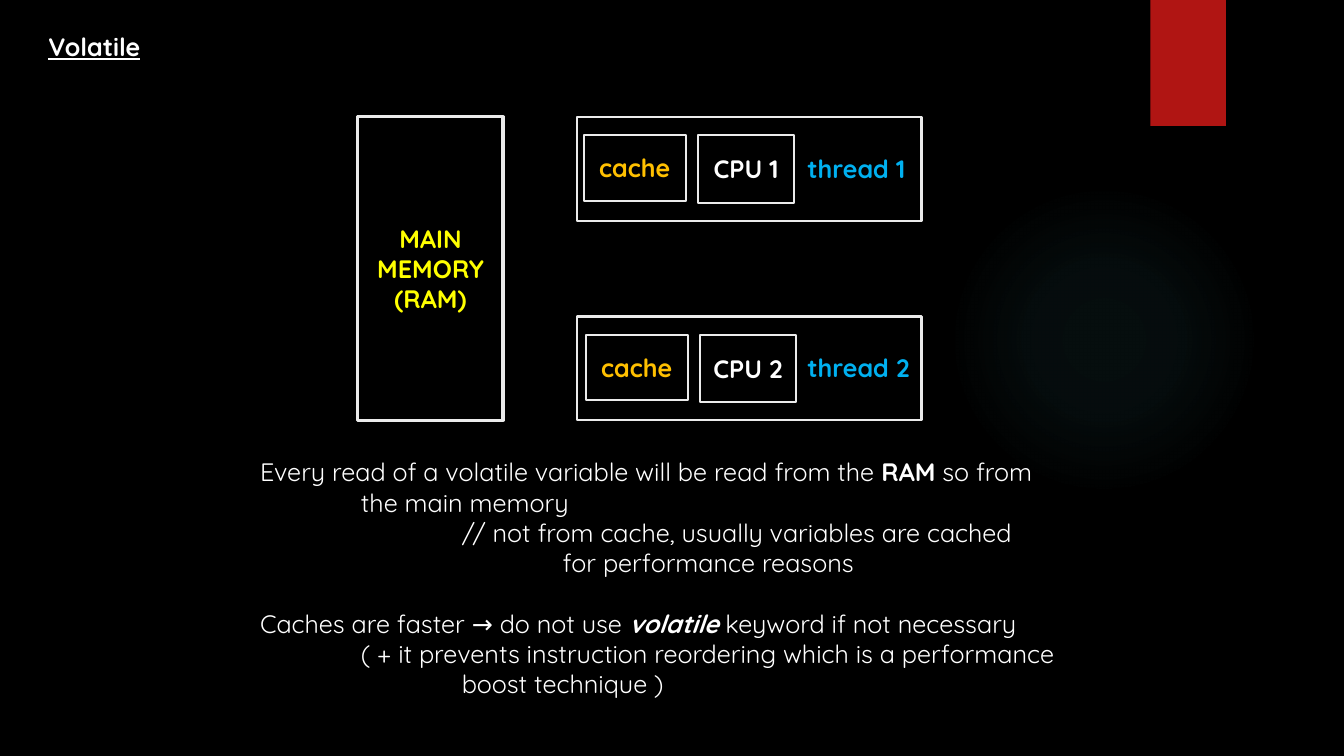
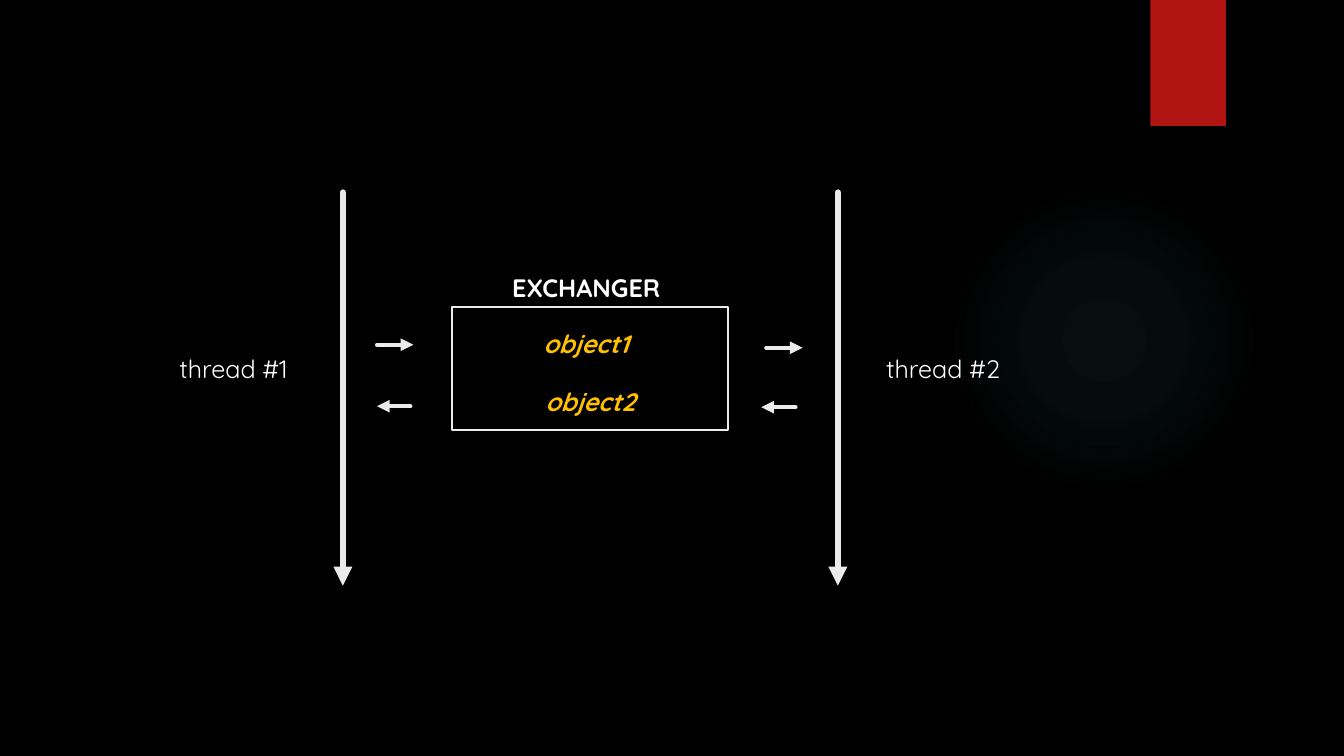
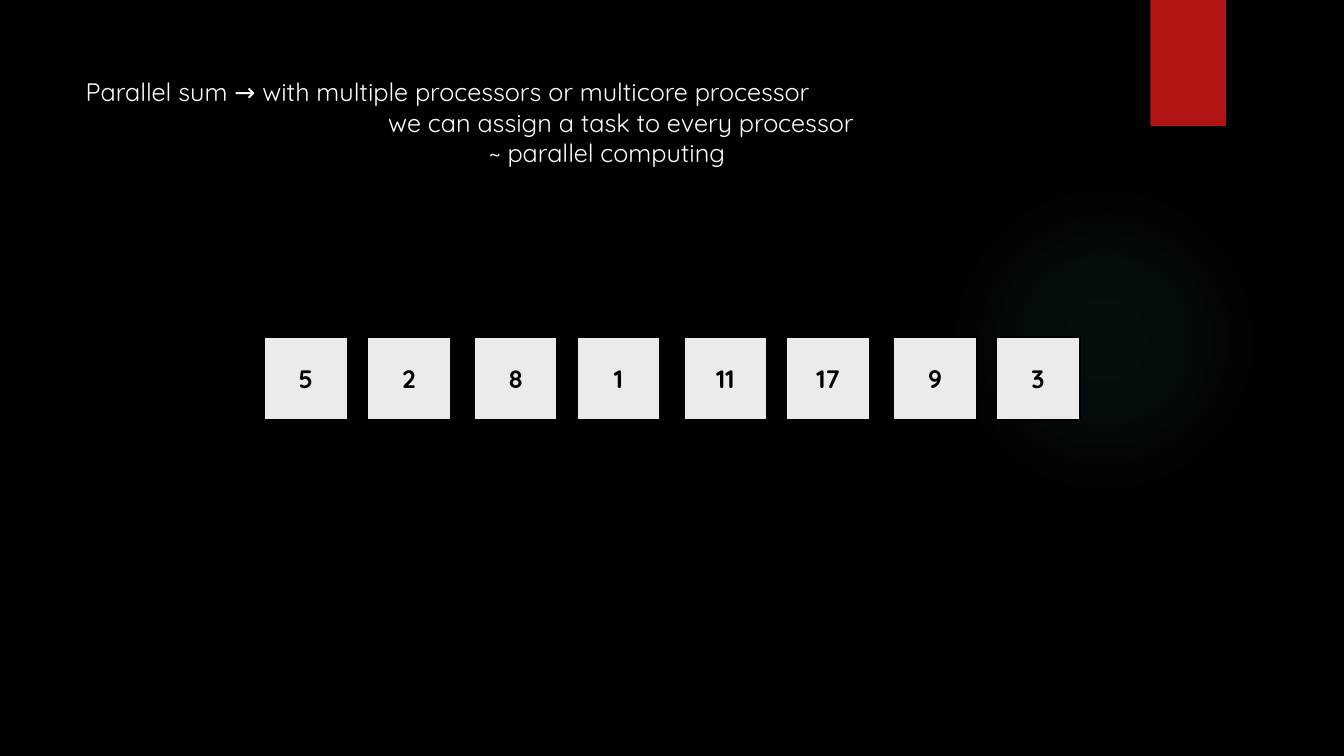
from dataclasses import dataclass

from lxml import etree
from pptx import Presentation
from pptx import util as u
from pptx.dml.color import RGBColor
from pptx.enum import shapes, text
from pptx.oxml import parse_xml
from pptx.oxml.ns import nsdecls, qn

FONT = "Quicksand"
SIZE = 18
LINE_PITCH = 21.6
BLACK = RGBColor(0x00, 0x00, 0x00)
WHITE = RGBColor(0xFF, 0xFF, 0xFF)
LIGHT = RGBColor(0xEB, 0xEB, 0xEB)
RED = RGBColor(0xB0, 0x15, 0x13)
GLOW = RGBColor(0x50, 0xB9, 0xC1)
YELLOW = RGBColor(0xFF, 0xFF, 0x00)
AMBER = RGBColor(0xFF, 0xC0, 0x00)
BLUE = RGBColor(0x00, 0xB0, 0xF0)


@dataclass
class Run:
    words: str
    bold: bool = False
    italic: bool = False


@dataclass
class Line:
    runs: list[Run]
    indent: int = 0
    gap: float = 0


@dataclass
class Cpu:
    number: int
    top: float
    shift: float


@dataclass
class Arrow:
    x1: float
    y1: float
    x2: float
    y2: float
    width: float = 3


def write(p, words, *, color=WHITE, bold=False, italic=False, underline=False):
    """Add one formatted run to a paragraph."""
    r = p.add_run()
    r.text = words
    f = r.font
    f.name, f.size = FONT, u.Pt(SIZE)
    f.bold, f.italic, f.underline = bold, italic, underline
    f.color.rgb = color


def place(sp, left: float, top: float, width: float, height: float):
    sp.left, sp.top = u.Inches(left), u.Inches(top)
    sp.width, sp.height = u.Inches(width), u.Inches(height)


def add_box(s, at, *, lines=(), fill=None, line=LIGHT, weight=1.5,
            kind=shapes.MSO_SHAPE.RECTANGLE, **fmt):
    sp = s.shapes.add_shape(kind, *(u.Inches(v) for v in at))
    sp.shadow.inherit = False
    if fill is None:
        sp.fill.background()
    else:
        sp.fill.solid()
        sp.fill.fore_color.rgb = fill
    if line is None:
        sp.line.fill.background()
    else:
        sp.line.color.rgb = line
        sp.line.width = u.Pt(weight)
    tf = sp.text_frame
    for i, words in enumerate(lines):
        p = tf.add_paragraph() if i else tf.paragraphs[0]
        p.alignment = text.PP_ALIGN.CENTER
        write(p, words, **fmt)
    return sp


def add_label(s, words: str, at, **fmt):
    tf = s.shapes.add_textbox(*(u.Inches(v) for v in at)).text_frame
    tf.word_wrap = False
    tf.auto_size = text.MSO_AUTO_SIZE.SHAPE_TO_FIT_TEXT
    write(tf.paragraphs[0], words, **fmt)


def set_title(s, words: str, at, **fmt):
    title = s.shapes.title
    place(title, *at)
    tf = title.text_frame
    tf.word_wrap = False
    tf.auto_size = text.MSO_AUTO_SIZE.NONE
    tf.vertical_anchor = text.MSO_ANCHOR.TOP
    p = tf.paragraphs[0]
    p.alignment = text.PP_ALIGN.LEFT
    write(p, words, **fmt)


def set_body(s, lines: list[Line], at):
    body = s.placeholders[1]
    place(body, *at)
    tf = body.text_frame
    tf.word_wrap = True
    tf.auto_size = text.MSO_AUTO_SIZE.NONE
    for i, line in enumerate(lines):
        p = tf.add_paragraph() if i else tf.paragraphs[0]
        p.space_before = u.Pt(line.gap)
        for run in line.runs:
            write(p, run.words, bold=run.bold, italic=run.italic)
        # Indent by whole inches, without a bullet
        ppr = p._p.get_or_add_pPr()
        ppr.set("marL", str(u.Inches(line.indent)))
        ppr.set("indent", "0")
        etree.SubElement(ppr, qn("a:buNone"))


def add_arrow(s, a: Arrow):
    cx = s.shapes.add_connector(
        shapes.MSO_CONNECTOR.STRAIGHT,
        *(u.Inches(v) for v in (a.x1, a.y1, a.x2, a.y2)))
    cx.line.color.rgb = LIGHT
    cx.line.width = u.Pt(a.width)
    sppr = cx.element.spPr
    ln = sppr.find(qn("a:ln"))
    ln.set("cap", "rnd")
    etree.SubElement(ln, qn("a:tailEnd"), type="triangle")
    etree.SubElement(sppr, qn("a:effectLst"))


def decorate_master(prs, s):
    """Give the master its background, soft glow and red tab."""
    master = prs.slide_master
    master.background.fill.solid()
    master.background.fill.fore_color.rgb = BLACK

    glow = add_box(s, (9.41, 1.83, 3.08, 3.08), line=None,
                   kind=shapes.MSO_SHAPE.OVAL)
    stops = "".join(
        f'<a:gs pos="{pos}000"><a:srgbClr val="{GLOW}">'
        f'<a:alpha val="{alpha}000"/></a:srgbClr></a:gs>'
        for pos, alpha in ((0, 7), (36, 6), (69, 0)))
    sppr = glow.element.spPr
    sppr.replace(sppr.find(qn("a:noFill")), parse_xml(
        f'<a:gradFill {nsdecls("a")}><a:gsLst>{stops}</a:gsLst>'
        '<a:path path="circle"><a:fillToRect l="50000" t="50000" '
        'r="50000" b="50000"/></a:path></a:gradFill>'))

    tab = add_box(s, (11.41, 0, 0.75, 1.25), fill=RED, line=None)

    # Move both behind the master's placeholders
    tree = master.placeholders[0].element.getparent()
    for i, sp in enumerate((glow, tab)):
        sp.element.xpath(".//p:cNvPr")[0].set("id", str(20 + i))
        tree.insert(2 + i, sp.element)


def build_volatile(s):
    set_title(s, "Volatile", (0.38, 0.26, 1.12, 0.4), bold=True, underline=True)
    add_box(s, (3.55, 1.16, 1.44, 3.01), lines=("MAIN MEMORY", "(RAM)"),
            weight=2.25, color=YELLOW, bold=True)
    # Each processor with its cache and thread
    for cpu in (Cpu(1, 1.16, 0), Cpu(2, 3.14, 0.02)):
        inner = cpu.top + 0.18
        add_box(s, (5.72, cpu.top, 3.42, 1.03))
        add_box(s, (5.79 + cpu.shift, inner, 1.01, 0.65), lines=("cache",),
                color=AMBER, bold=True)
        add_box(s, (6.92 + cpu.shift, inner, 0.96, 0.67),
                lines=(f"CPU {cpu.number}",), bold=True)
        add_label(s, f"thread {cpu.number}", (7.91, cpu.top + 0.31, 1.24, 0.4),
                  color=BLUE, bold=True)
    set_body(s, [
        Line([Run("Every read of a volatile variable will be read from the "),
              Run("RAM", bold=True), Run(" so from")]),
        Line([Run("the main memory")], 1),
        Line([Run("// not from cache, usually variables are cached")], 2),
        Line([Run("for performance reasons")], 3),
        Line([Run("Caches are faster → do not use "),
              Run("volatile", bold=True, italic=True),
              Run(" keyword if not necessary")], gap=LINE_PITCH),
        Line([Run("( + it prevents instruction reordering which is a performance")], 1),
        Line([Run("boost technique )")], 2),
    ], (2.48, 4.48, 8.46, 2.52))


def build_exchanger(s):
    set_title(s, "EXCHANGER", (4.98, 2.65, 1.75, 0.4), bold=True)
    add_box(s, (4.48, 3.05, 2.74, 1.22))
    for number, (left, top) in enumerate(((5.29, 3.21), (5.31, 3.78)), 1):
        add_label(s, f"object{number}", (left, top, 1.13, 0.4),
                  color=AMBER, bold=True, italic=True)
    for number, left in enumerate((1.68, 8.69), 1):
        add_label(s, f"thread #{number}", (left, 3.46, 1.42, 0.4))
    # Thread timelines, then the exchanges
    for arrow in (
        Arrow(3.4, 1.91, 3.4, 5.81, 4.5),
        Arrow(8.31, 1.91, 8.31, 5.81, 4.5),
        Arrow(3.74, 3.42, 4.1, 3.42),
        Arrow(4.07, 4.03, 3.74, 4.03),
        Arrow(7.6, 3.45, 7.96, 3.45),
        Arrow(7.89, 4.04, 7.55, 4.04),
    ):
        add_arrow(s, arrow)


def build_parallel_sum(s):
    set_title(s, "Parallel sum → with multiple processors or multicore processor",
              (0.75, 0.71, 8.09, 0.4))
    set_body(s, [
        Line([Run("we can assign a task to every processor")], 3),
        Line([Run("~ parallel computing")], 4),
    ], (0.75, 1.01, 8.09, 0.71))
    # Numbers stand in pairs
    for i, number in enumerate((5, 2, 8, 1, 11, 17, 9, 3)):
        pair, second = divmod(i, 2)
        add_box(s, (2.62 + 2.08 * pair + 1.02 * second, 3.34, 0.83, 0.83),
                lines=(str(number),), fill=LIGHT, line=BLACK,
                color=BLACK, bold=True)


def main():
    prs = Presentation()
    prs.slide_width, prs.slide_height = u.Inches(13.33), u.Inches(7.5)
    title_and_body, title_only = prs.slide_layouts[1], prs.slide_layouts[5]
    first = prs.slides.add_slide(title_and_body)
    decorate_master(prs, first)
    build_volatile(first)
    build_exchanger(prs.slides.add_slide(title_only))
    build_parallel_sum(prs.slides.add_slide(title_and_body))
    prs.save("out.pptx")


if __name__ == "__main__":
    main()
